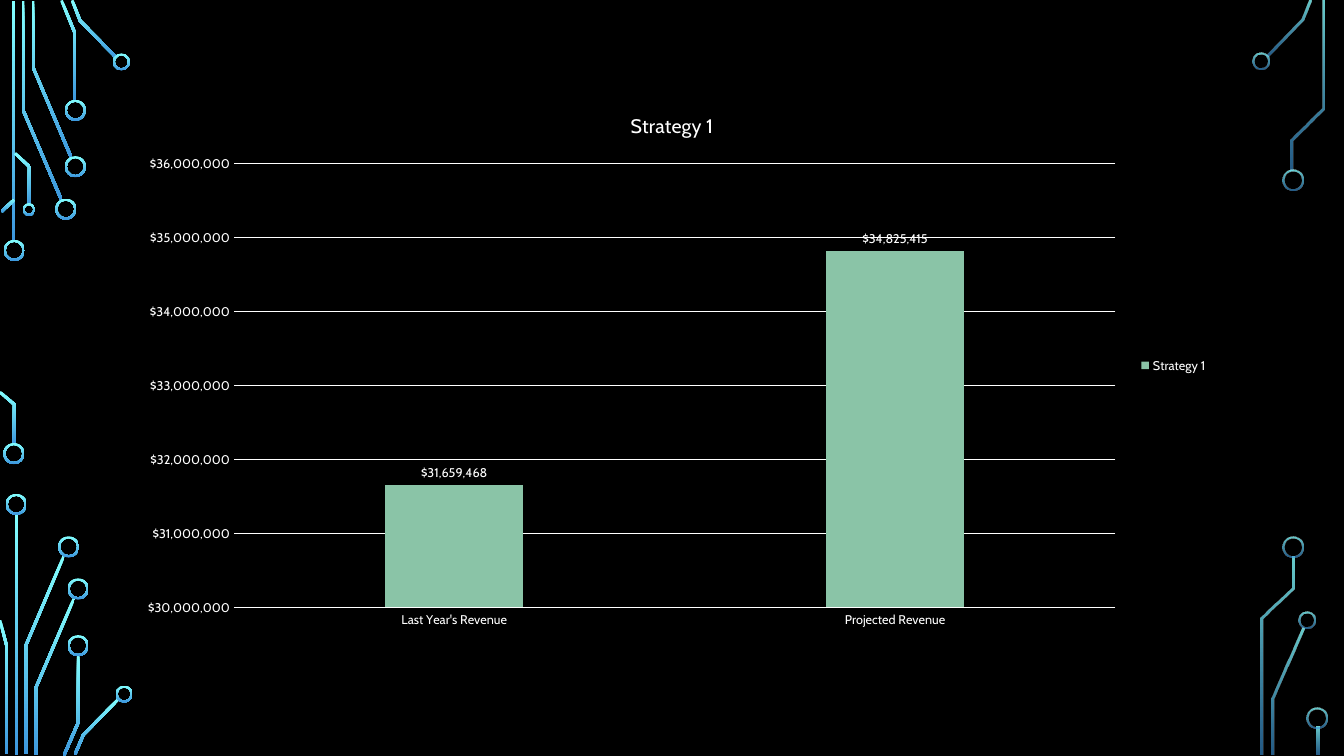
"""Build the Strategy 1 revenue slide with its circuit-board borders."""
from dataclasses import dataclass

from pptx import Presentation
from pptx import util as u
from pptx.chart.data import CategoryChartData
from pptx.dml.color import RGBColor
from pptx.enum import chart as ch
from pptx.enum import shapes
from pptx.oxml import ns, xmlchemy


@dataclass(frozen=True)
class Theme:
    background = RGBColor.from_string("000000")
    ink = RGBColor.from_string("FFFFFF")
    bar = RGBColor.from_string("8AC4A7")
    glow = (RGBColor.from_string("82FFFF"), RGBColor.from_string("3D97DE"))
    font = "Cabin"
    title_size = u.Pt(14)
    label_size = u.Pt(9)
    rule = u.Pt(0.75)


theme = Theme()
TRACE_WIDTH = 0.07
RING_WALL = 0.05
DOLLARS = '"$"#,##0'


def paint_glow(part, opacities):
    """Fill a circuit part with the vertical glow, at the given opacities."""
    part.shadow.inherit = False
    part.line.fill.background()
    part.fill.gradient()
    part.fill.gradient_angle = 270
    for stop, colour in zip(part.fill.gradient_stops, theme.glow):
        stop.color.rgb = colour
    for colour, opacity in zip(part.element.spPr.iter(ns.qn("a:srgbClr")), opacities):
        if opacity < 100:
            alpha = xmlchemy.OxmlElement("a:alpha")
            alpha.set("val", str(opacity * 1000))
            colour.append(alpha)


def trace_outline(route):
    """Return the mitred outline around the centre line of a trace."""
    centres = [complex(x, y) for x, y in route]
    normals = [1j * (b - a) / abs(b - a) for a, b in zip(centres, centres[1:])]
    offsets = [
        TRACE_WIDTH / 2 * (n + m) / (1 + (n * m.conjugate()).real)
        for n, m in zip(normals[:1] + normals, normals + normals[-1:])
    ]
    sides = [c + o for c, o in zip(centres, offsets)]
    sides += [c - o for c, o in zip(centres, offsets)][::-1]
    return [(u.Cm(p.real), u.Cm(p.imag)) for p in sides]


left_circuit = {
    "opacities": (100, 100),
    "stems": [(0.34, 0.02, 6.1), (0.42, 12.95, 19.02)],
    "routes": [
        [(0.58, 0.02), (0.58, 2.77), (1.55, 5.04)],
        [(0.83, 0.02), (0.83, 1.69), (1.8, 3.98)],
        [(1.55, 0.01), (1.89, 0.84), (1.89, 2.54)],
        [(1.82, 0.01), (2.02, 0.52), (2.93, 1.45)],
        [(0.04, 5.33), (0.36, 5.03)],
        [(0, 9.88), (0.36, 10.19), (0.36, 11.2)],
        [(0.38, 3.86), (0.74, 4.2), (0.74, 5.16)],
        [(0.65, 19), (0.65, 16.27), (1.61, 14.01)],
        [(0, 15.63), (0.17, 16.28), (0.17, 19)],
        [(0.9, 19.02), (0.9, 17.34), (1.87, 15.07)],
        [(1.61, 19.04), (1.97, 18.21), (1.97, 16.51)],
        [(1.89, 19.01), (2.1, 18.52), (3, 17.6)],
    ],
    "rings": {
        0.53: [(0.36, 6.31), (0.35, 11.43), (1.66, 5.27), (1.9, 4.2), (1.9, 2.78),
               (0.41, 12.71), (1.73, 13.78), (1.97, 14.84), (1.97, 16.27)],
        0.43: [(3.06, 1.56), (3.13, 17.49)],
        0.32: [(0.73, 5.28)],
    },
}
right_circuit = {
    "opacities": (80, 60),
    "stems": [(33.21, 18.31, 19.02)],
    "routes": [
        [(31.93, 1.41), (32.83, 0.5), (33.03, 0.01)],
        [(32.07, 19.02), (32.07, 17.61), (32.84, 15.84)],
        [(32.56, 4.29), (32.56, 3.52), (33.34, 2.73), (33.34, 0.02)],
        [(31.81, 19.02), (31.81, 15.58), (32.6, 14.82), (32.6, 14.02)],
    ],
    "rings": {
        0.53: [(32.58, 4.54), (32.59, 13.78), (33.19, 18.09)],
        0.43: [(31.79, 1.54), (32.93, 15.63)],
    },
}

deck = Presentation()
deck.slide_width, deck.slide_height = u.Cm(33.87), u.Cm(19.05)
slide = deck.slides.add_slide(deck.slide_layouts[6])
slide.background.fill.solid()
slide.background.fill.fore_color.rgb = theme.background

for circuit in (left_circuit, right_circuit):
    for x, top, bottom in circuit["stems"]:
        stem = slide.shapes.add_shape(
            shapes.MSO_SHAPE.RECTANGLE, u.Cm(x - TRACE_WIDTH / 2), u.Cm(top),
            u.Cm(TRACE_WIDTH), u.Cm(bottom - top))
        paint_glow(stem, circuit["opacities"])
    for route in circuit["routes"]:
        start, *rest = trace_outline(route)
        builder = slide.shapes.build_freeform(*start)
        builder.add_line_segments(rest, close=True)
        paint_glow(builder.convert_to_shape(), circuit["opacities"])
    for diameter, centres in circuit["rings"].items():
        for x, y in centres:
            ring = slide.shapes.add_shape(
                shapes.MSO_SHAPE.DONUT, u.Cm(x - diameter / 2), u.Cm(y - diameter / 2),
                u.Cm(diameter), u.Cm(diameter))
            ring.adjustments[0] = RING_WALL / diameter
            paint_glow(ring, circuit["opacities"])

revenue = CategoryChartData(number_format=DOLLARS)
revenue.categories = ["Last Year's Revenue", "Projected Revenue"]
revenue.add_series("Strategy 1", [31659468, 34825415])
chart = slide.shapes.add_chart(
    ch.XL_CHART_TYPE.COLUMN_CLUSTERED, u.Cm(3.18), u.Cm(2.34),
    u.Cm(27.51), u.Cm(13.74), revenue).chart
chart.font.name = theme.font
chart.font.size = theme.label_size
chart.font.color.rgb = theme.ink

chart.has_title = True
chart.chart_title.include_in_layout = False
heading = chart.chart_title.text_frame
heading.text = "Strategy 1"
heading_font = heading.paragraphs[0].runs[0].font
heading_font.name = theme.font
heading_font.size = theme.title_size
heading_font.bold = False
heading_font.color.rgb = theme.ink

chart.has_legend = True
chart.legend.position = ch.XL_LEGEND_POSITION.RIGHT
chart.legend.include_in_layout = False

periods = chart.category_axis
periods.major_tick_mark = ch.XL_TICK_MARK.NONE
periods.format.line.color.rgb = theme.ink
periods.format.line.width = theme.rule

dollars = chart.value_axis
dollars.minimum_scale, dollars.maximum_scale = 30_000_000, 36_000_000
dollars.major_unit = 1_000_000
dollars.major_tick_mark = ch.XL_TICK_MARK.NONE
dollars.format.line.fill.background()
dollars.major_gridlines.format.line.color.rgb = theme.ink
dollars.major_gridlines.format.line.width = theme.rule
dollars.tick_labels.number_format = DOLLARS
dollars.tick_labels.number_format_is_linked = False

bars = chart.plots[0]
bars.vary_by_categories = False
bars.gap_width, bars.overlap = 219, -27
strategy = bars.series[0]
strategy.format.fill.solid()
strategy.format.fill.fore_color.rgb = theme.bar
amounts = strategy.data_labels
amounts.show_value = True
amounts.position = ch.XL_LABEL_POSITION.OUTSIDE_END
amounts.number_format = DOLLARS
amounts.number_format_is_linked = False
amounts.font.name = theme.font
amounts.font.size = theme.label_size
amounts.font.color.rgb = theme.ink

deck.save("out.pptx")
